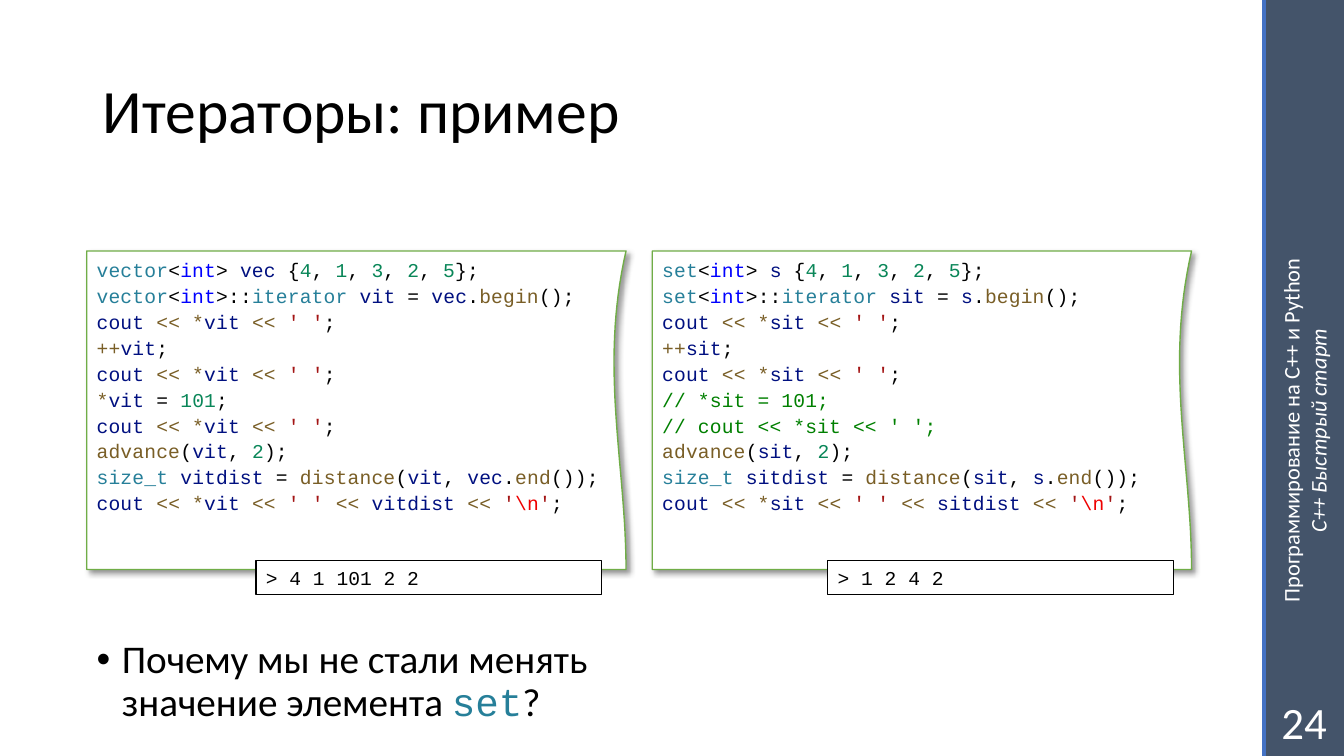
from lxml import etree
from pptx import Presentation, util as u
from pptx.dml.color import RGBColor
from pptx.enum import shapes, text
from pptx.oxml import ns

BLACK = RGBColor(0, 0, 0)
WHITE = RGBColor(255, 255, 255)
SLATE = RGBColor(0x44, 0x54, 0x6A)
BLUE = RGBColor(0x44, 0x72, 0xC4)
GREEN = RGBColor(0x70, 0xAD, 0x47)
TYPE = RGBColor(0x26, 0x7F, 0x99)
KEY = RGBColor(0, 0, 255)
NAME = RGBColor(0, 0x10, 0x80)
NUM = RGBColor(0x09, 0x86, 0x58)
CALL = RGBColor(0x79, 0x5E, 0x26)
QUOTE = RGBColor(0xA3, 0x15, 0x15)
SLASH = RGBColor(0xEE, 0, 0)
NOTE = RGBColor(0, 0x80, 0)

SANS, MONO = "Calibri", "Courier New"
HUES = {"int": KEY, "\\n": SLASH}
for hue, words in ((TYPE, "vector set iterator size_t"),
                   (NAME, "vec s vit sit vitdist sitdist cout"),
                   (NUM, "1 2 3 4 5 101"),
                   (CALL, "begin end advance distance << <<* ++ *"),
                   (QUOTE, "' '' ")):
    HUES.update((word, hue) for word in words.split())

deck = Presentation()
deck.slide_width, deck.slide_height = u.Inches(13.33), u.Inches(7.5)
slide = deck.slides.add_slide(deck.slide_layouts[5])
COL, ROW = deck.slide_width / 100, deck.slide_height / 100


def area(x, y, w, h):
    return int(x * COL), int(y * ROW), int(w * COL), int(h * ROW)


def write(par, words, size, font, color):
    run = par.add_run()
    run.text = words
    run.font.size = u.Pt(size)
    run.font.name = font
    run.font.color.rgb = color
    return run


EDGE, BAND = 94.07, 5.93
bar = slide.shapes.add_shape(shapes.MSO_SHAPE.RECTANGLE, *area(EDGE, 0, BAND, 100))
bar.shadow.inherit = False
bar.fill.solid()
bar.fill.fore_color.rgb = SLATE
bar.line.fill.background()

rule = slide.shapes.add_connector(
    shapes.MSO_CONNECTOR.STRAIGHT, int(EDGE * COL), 0, int(EDGE * COL), deck.slide_height)
rule.line.color.rgb = BLUE
rule.line.width = u.Pt(3)
etree.SubElement(rule._element.spPr, ns.qn("a:effectLst"))

side = slide.shapes.add_textbox(*area(77.79, 52.67, 38.56, 8.53))
side.rotation = 270
side.text_frame.word_wrap = True
par = side.text_frame.paragraphs[0]
par.alignment = text.PP_ALIGN.CENTER
write(par, "Программирование на C++ и Python", 16, SANS, WHITE)
par.add_line_break()
write(par, "C++ Быстрый старт", 16, SANS, WHITE).font.italic = True

title = slide.shapes.title
title.left, title.top, title.width, title.height = area(6.9, 5.33, 83.95, 19.33)
title.text_frame.vertical_anchor = text.MSO_ANCHOR.MIDDLE
par = title.text_frame.paragraphs[0]
par.alignment = text.PP_ALIGN.LEFT
par.line_spacing = 0.9
write(par, "Итераторы: пример", 44, SANS, BLACK)

page = slide.shapes.add_textbox(*area(EDGE, 90.8, BAND, 9.2))
page.text_frame.word_wrap = True
page.text_frame.vertical_anchor = text.MSO_ANCHOR.MIDDLE
par = page.text_frame.paragraphs[0]
par.alignment = text.PP_ALIGN.CENTER
write(par, "24", 32, SANS, WHITE)

TOP, WIDE, TALL = 33.2, 40.13, 42.13
BEND = ((1, 0), (0.95, 0.37), (1, 0.67), (1, 1))
STEPS = 32
curve = []
for step in range(STEPS + 1):
    t = step / STEPS
    parts = ((1 - t) ** 3, 3 * t * (1 - t) ** 2, 3 * t * t * (1 - t), t ** 3)
    curve.append(tuple(sum(p * knot[axis] for p, knot in zip(parts, BEND)) for axis in (0, 1)))

SHADE = (f'<a:effectLst {ns.nsdecls("a")}><a:outerShdw blurRad="50800" dist="38100" '
         'dir="2700000" algn="tl" rotWithShape="0"><a:srgbClr val="000000">'
         '<a:alpha val="40000"/></a:srgbClr></a:outerShdw></a:effectLst>')

panels = (
    (6.45, 19.05, "vector", "vec", "vit", "> 4 1 101 2 2",
     ["*|vit| = |101|;", "cout |<< *|vit |<< |' '|;"]),
    (48.53, 61.59, "set", "s", "sit", "> 1 2 4 2",
     ["// *sit = 101;", "// cout << *sit << ' ';"]),
)
for left, start, kind, box, it, result, change in panels:
    show = f"cout |<< *|{it} |<< |' '|;"
    code = [
        f"{kind}|<|int|> |{box}| {{|4|, |1|, |3|, |2|, |5|}};",
        f"{kind}|<|int|>::|iterator |{it}| = |{box}|.|begin|();",
        show,
        f"++|{it}|;",
        show,
        *change,
        f"advance|(|{it}|, |2|);",
        f"size_t |{it}dist| = |distance|(|{it}|, |{box}|.|end|());",
        f"cout |<< *|{it} |<< |' ' |<< |{it}dist |<< |'|\\n|'|;",
    ]
    pen = slide.shapes.build_freeform(int(left * COL), int(TOP * ROW))
    pen.add_line_segments(
        [(int((left + x * WIDE) * COL), int((TOP + y * TALL) * ROW))
         for x, y in curve + [(0, 1)]], close=True)
    sheet = pen.convert_to_shape()
    sheet.fill.solid()
    sheet.fill.fore_color.rgb = WHITE
    sheet.line.color.rgb = GREEN
    sheet.line.width = u.Pt(1)
    sheet._element.spPr.append(etree.fromstring(SHADE))
    frame = sheet.text_frame
    frame.word_wrap = True
    frame.vertical_anchor = text.MSO_ANCHOR.TOP
    for row, line in enumerate(code):
        par = frame.add_paragraph() if row else frame.paragraphs[0]
        par.alignment = text.PP_ALIGN.LEFT
        par.line_spacing = 1.1
        for word in line.split("|"):
            hue = NOTE if word.startswith("//") else HUES.get(word.replace(" ", ""), BLACK)
            run = write(par, word, 14, MONO, hue)
            run.font._element.set("spc", "10")

    out = slide.shapes.add_shape(
        shapes.MSO_SHAPE.RECTANGLE, *area(start, 74.13, 25.73, 4.53))
    out.shadow.inherit = False
    out.fill.solid()
    out.fill.fore_color.rgb = WHITE
    out.line.color.rgb = BLACK
    out.line.width = u.Pt(1)
    out.text_frame.word_wrap = True
    par = out.text_frame.paragraphs[0]
    par.alignment = text.PP_ALIGN.LEFT
    write(par, result, 14, MONO, BLACK)

ask = slide.shapes.add_textbox(*area(6.45, 84, 41.41, 13.07))
ask.text_frame.word_wrap = True
par = ask.text_frame.paragraphs[0]
par.line_spacing = 0.9
par.space_before = u.Pt(10)
props = par._p.get_or_add_pPr()
props.set("marL", "228600")
props.set("indent", "-228600")
etree.SubElement(props, ns.qn("a:buFont"), typeface="Arial")
etree.SubElement(props, ns.qn("a:buChar"), char="•")
write(par, "Почему мы не стали менять значение элемента ", 28, SANS, BLACK)
write(par, "set", 28, MONO, TYPE)
write(par, "?", 28, SANS, BLACK)

deck.save("out.pptx")
